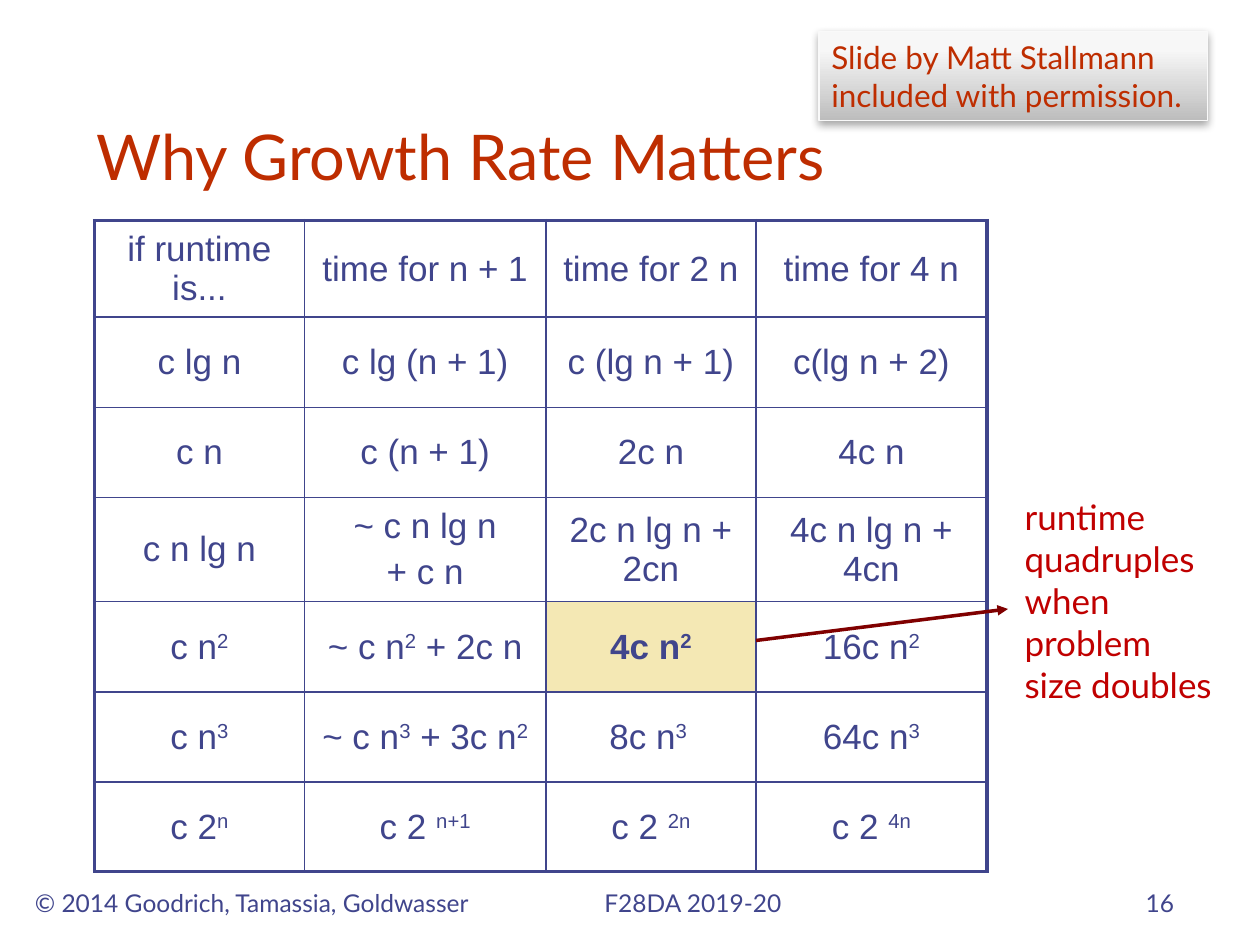
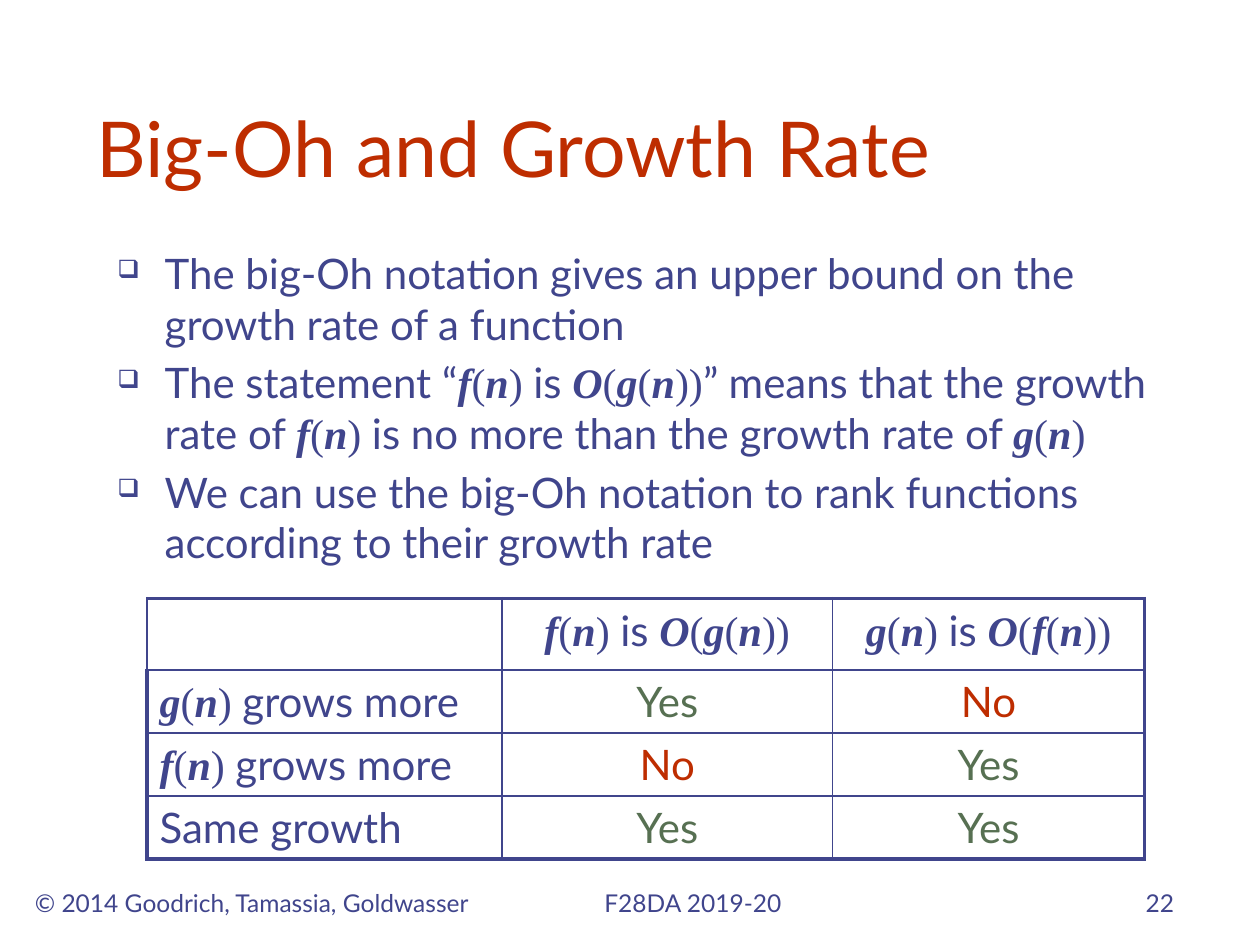
from copy import deepcopy
from itertools import groupby

from lxml import etree
from pptx import Presentation
from pptx.dml.color import RGBColor
from pptx.enum.shapes import MSO_CONNECTOR, MSO_SHAPE
from pptx.enum.text import MSO_ANCHOR, PP_ALIGN
from pptx.oxml.ns import qn
from pptx.util import Pt

PX = 7620  # 120 px to the inch
LEFT, CENTER, RIGHT = PP_ALIGN.LEFT, PP_ALIGN.CENTER, PP_ALIGN.RIGHT
TOP, MIDDLE, BOTTOM = MSO_ANCHOR.TOP, MSO_ANCHOR.MIDDLE, MSO_ANCHOR.BOTTOM
STRAIGHT, RECT = MSO_CONNECTOR.STRAIGHT, MSO_SHAPE.RECTANGLE

COLORS = {
    "title": "BE2D00", "ink": "40458C", "yes": "577052", "no": "BE2D00",
    "highlight": "F4E8B4", "arrow": "800000", "callout": "C00000",
    "note_dark": "BDBDBD", "note_mid": "F7F7F7", "note_light": "F8F8F8",
    "note_line": "F9F9F9", "shadow": "000000",
}
RGB = {name: RGBColor.from_string(value) for name, value in COLORS.items()}
FONT, TABLE_FONT, MATH_FONT = "Lato", "Arial", "Times New Roman"


def write(tf, paragraphs, size, color="ink", align=LEFT, font=FONT, bold=False, before=0):
    """Fill a text frame; $...$ marks a formula and ^...^ a superscript."""
    for i, text in enumerate(paragraphs):
        p = tf.paragraphs[0] if i == 0 else tf.add_paragraph()
        p.alignment = align
        p.space_before = Pt(before)
        runs = []
        for k, part in enumerate(text.split("$")):
            if k % 2:
                runs += [("".join(chars), MATH_FONT, letter, letter, False)
                         for letter, chars in groupby(part, str.isalpha)]
            else:
                runs += [(piece, font, bold, False, j % 2 == 1)
                         for j, piece in enumerate(part.split("^")) if piece]
        for piece, face, is_bold, is_italic, raised in runs:
            r = p.add_run()
            r.text = piece
            r.font.size, r.font.name = Pt(size), face
            r.font.bold, r.font.italic = is_bold, is_italic
            r.font.color.rgb = RGB[color]
            if raised:
                r._r.get_or_add_rPr().set("baseline", "30000")


def add_text(s, box, paragraphs, size, anchor=TOP, **style):
    tf = s.shapes.add_textbox(*[v * PX for v in box]).text_frame
    tf.word_wrap = True
    tf.vertical_anchor = anchor
    write(tf, paragraphs, size, **style)
    return tf


prs = Presentation()
prs.slide_width, prs.slide_height = 1200 * PX, 900 * PX

# Titles and footers
slides = []
for title, size, number in [("Why Growth Rate Matters", 36, "16"),
                            ("Big-Oh and Growth Rate", 44, "22")]:
    s = prs.slides.add_slide(prs.slide_layouts[6])
    add_text(s, (80, 40, 1020, 150), [title], size, BOTTOM, color="title")
    for x, w, text, align in [(10, 460, "© 2014 Goodrich, Tamassia, Goldwasser", CENTER),
                              (470, 380, "F28DA 2019-20", CENTER),
                              (880, 250, number, RIGHT)]:
        add_text(s, (x, 820, w, 60), [text], 14, BOTTOM, align=align)
    slides.append(s)
growth, big_oh = slides

# Tables
growth_rows = [
    ["if runtime is...", "time for n + 1", "time for 2 n", "time for 4 n"],
    ["c lg n", "c lg (n + 1)", "c (lg n + 1)", "c(lg n + 2)"],
    ["c n", "c (n + 1)", "2c n", "4c n"],
    ["c n lg n", "~ c n lg n\n+ c n", "2c n lg n + 2cn", "4c n lg n + 4cn"],
    ["c n^2^", "~ c n^2^ + 2c n", "4c n^2^", "16c n^2^"],
    ["c n^3^", "~ c n^3^ + 3c n^2^", "8c n^3 ^", "64c n^3^"],
    ["c 2^n^", "c 2 ^n+1^", "c 2 ^2n^", "c 2 ^4n^"],
]
big_oh_rows = [
    ["", "$f(n) $is $O(g(n))$", "$g(n) $is $O(f(n))$"],
    ["$g(n) $grows more", "Yes", "No"],
    ["$f(n) $grows more", "No", "Yes"],
    ["Same growth", "Yes", "Yes"],
]
tables = [
    (growth, 90, 210, [200, 230, 200, 220], [92, 86, 86, 99, 86, 86, 85],
     growth_rows, 20, TABLE_FONT, MIDDLE, CENTER),
    (big_oh, 140, 570, [338, 315, 297], [68, 60, 60, 60],
     big_oh_rows, 24, FONT, TOP, LEFT),
]
for s, x, y, widths, heights, rows, size, font, anchor, first_align in tables:
    tbl = s.shapes.add_table(len(rows), len(widths), x * PX, y * PX,
                             sum(widths) * PX, sum(heights) * PX).table
    tbl.first_row = tbl.horz_banding = False
    for column, w in zip(tbl.columns, widths):
        column.width = w * PX
    for row, h in zip(tbl.rows, heights):
        row.height = h * PX
    for i, texts in enumerate(rows):
        for j, text in enumerate(texts):
            cell = tbl.cell(i, j)
            cell.vertical_anchor = anchor
            marked = text == "4c n^2^"
            write(cell.text_frame, text.split("\n") if text else [], size,
                  color={"Yes": "yes", "No": "no"}.get(text, "ink"),
                  align=CENTER if j else first_align,
                  font=font, bold=marked, before=size * 0.2)
            # Thick outer frame, thin inner lines
            outer = {"L": j == 0 and text != "", "R": j == len(widths) - 1,
                     "T": i == 0, "B": i == len(rows) - 1}
            for side, thick in outer.items():
                ln = etree.SubElement(cell._tc.get_or_add_tcPr(), qn("a:ln" + side),
                                      w=str(Pt(2.25 if thick else 1)))
                fill = etree.SubElement(ln, qn("a:solidFill"))
                etree.SubElement(fill, qn("a:srgbClr"), val=COLORS["ink"])
            if marked:
                cell.fill.solid()
                cell.fill.fore_color.rgb = RGB["highlight"]
            else:
                cell.fill.background()

# Growth slide: permission note
note = growth.shapes.add_shape(RECT, 780 * PX, 30 * PX, 370 * PX, 85 * PX)
note.fill.gradient()
note.fill.gradient_angle = 90
stop_list = note._element.spPr.find(".//" + qn("a:gsLst"))
stop_list.append(deepcopy(stop_list[-1]))
for stop, position, name in zip(note.fill.gradient_stops, (0, 0.8, 1),
                                ("note_dark", "note_mid", "note_light")):
    stop.position = position
    stop.color.rgb = RGB[name]
note.line.color.rgb = RGB["note_line"]
note.line.width = Pt(0.75)
note.shadow.inherit = False
shadow = etree.SubElement(note._element.spPr.find(qn("a:effectLst")), qn("a:outerShdw"),
                          blurRad=str(Pt(5)), dist=str(Pt(1.8)), dir="5400000",
                          rotWithShape="0")
shade = etree.SubElement(shadow, qn("a:srgbClr"), val=COLORS["shadow"])
etree.SubElement(shade, qn("a:alpha"), val="35000")
note.text_frame.word_wrap = True
note.text_frame.vertical_anchor = TOP
write(note.text_frame, ["Slide by Matt Stallmann included with permission."], 18, color="title")

# Growth slide: arrow and callout
arrow = growth.shapes.add_connector(STRAIGHT, 720 * PX, 610 * PX, 960 * PX, 580 * PX)
arrow.line.color.rgb = RGB["arrow"]
arrow.line.width = Pt(2)
etree.SubElement(arrow.line._get_or_add_ln(), qn("a:tailEnd"), type="triangle")
etree.SubElement(arrow._element.spPr, qn("a:effectLst"))
add_text(growth, (964, 466, 206, 214),
         ["runtime", "quadruples", "when problem", "size doubles"], 20, color="callout")

# Big-Oh slide: bullets
tf = add_text(big_oh, (100, 230, 1050, 340), [
    "The big-Oh notation gives an upper bound on the growth rate of a function",
    "The statement “$f(n) $is $O(g(n))$” means that the growth rate of "
    "$f(n) $is no more than the growth rate of $g(n)$",
    "We can use the big-Oh notation to rank functions according to their growth rate",
], 24, before=4.8)
for p in tf.paragraphs:
    pPr = p._p.get_or_add_pPr()
    pPr.set("marL", str(45 * PX))
    pPr.set("indent", str(-45 * PX))
    color = etree.SubElement(pPr, qn("a:buClr"))
    etree.SubElement(color, qn("a:srgbClr"), val=COLORS["ink"])
    etree.SubElement(pPr, qn("a:buSzPct"), val="60000")
    etree.SubElement(pPr, qn("a:buChar"), char="❑")

prs.save("out.pptx")
